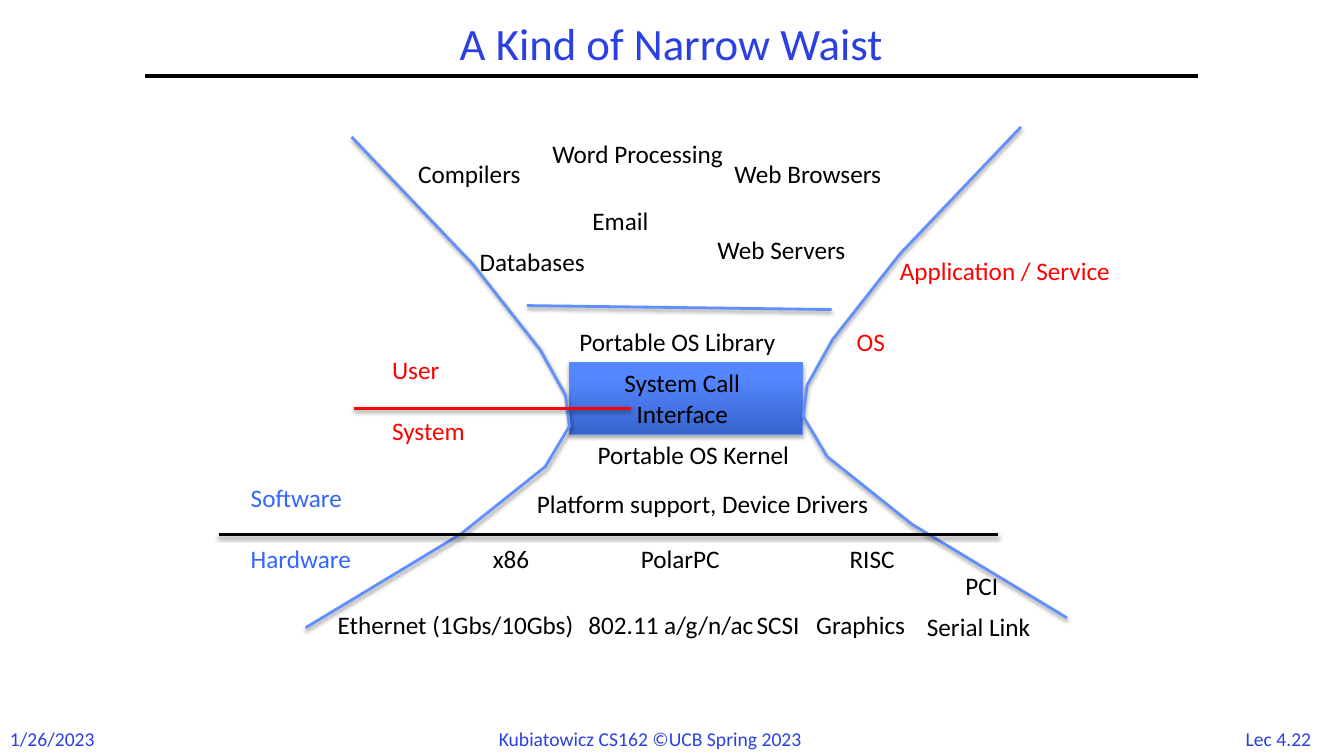
from dataclasses import dataclass
from copy import deepcopy
from typing import NamedTuple, Optional

import pptx
import pptx.dml.color
import pptx.enum.shapes
import pptx.enum.text
import pptx.oxml.ns
import pptx.shapes.base
import pptx.slide
import pptx.util
from lxml import etree

Cm = pptx.util.Cm
Pt = pptx.util.Pt
RGB = pptx.dml.color.RGBColor.from_string
qn = pptx.oxml.ns.qn
Align = pptx.enum.text.PP_ALIGN
Anchor = pptx.enum.text.MSO_ANCHOR


@dataclass(frozen=True)
class Theme:
    font: str = "Calibri"
    black: str = "000000"
    heading: str = "2A40E2"
    layer: str = "3366FF"
    boundary: str = "FF0000"
    wall: str = "618FFD"
    box_line: str = "5B8AFB"
    box_stops: tuple = ((0, "3764CE"), (0.8, "5487FF"), (1, "5688FF"))
    title_size: int = 32
    label_size: int = 18
    footer_size: int = 14


THEME = Theme()


class Label(NamedTuple):
    text: str
    left: float
    top: float
    width: float
    color: str = THEME.black
    size: int = THEME.label_size
    height: float = 1.02
    align: Align = Align.LEFT
    wrap: bool = False


class Line(NamedTuple):
    start: tuple
    end: tuple
    color: str
    width: float = 2
    shadow: Optional[int] = 38


TITLE = Label("A Kind of Narrow Waist", 3.66, 0.43, 26.52, THEME.heading,
              THEME.title_size, 1.47, Align.CENTER, True)
FOOTERS = [
    Label("1/26/2023", 0, 18.19, 2.72, THEME.heading, THEME.footer_size, 0.86),
    Label("Kubiatowicz CS162 ©UCB Spring 2023", 12.32, 18.19, 9.22,
          THEME.heading, THEME.footer_size, 0.86),
    Label("Lec 4.22", 30.99, 18.19, 2.46, THEME.heading, THEME.footer_size,
          0.86, Align.CENTER),
]
LABELS = [
    # Applications
    Label("Compilers", 10.29, 3.86, 3.4),
    Label("Word Processing", 13.67, 3.35, 5.38),
    Label("Web Browsers", 18.26, 3.86, 4.67),
    Label("Email", 14.68, 5.05, 2.11),
    Label("Databases", 11.84, 6.07, 3.58),
    Label("Web Servers", 17.83, 5.79, 4.22),
    # Operating system
    Label("Portable OS Library", 14.35, 8.1, 6.15),
    Label("System Call\nInterface", 15.14, 9.14, 4.11, height=1.8,
          align=Align.CENTER),
    Label("Portable OS Kernel", 14.81, 10.95, 6.05),
    Label("Platform support, Device Drivers", 13.28, 12.19, 9.91),
    # Hardware
    Label("x86", 12.17, 13.56, 1.55),
    Label("PolarPC", 15.9, 13.56, 3.23),
    Label("RISC", 21.16, 13.56, 1.93),
    Label("PCI", 24.08, 14.25, 1.57),
    Label("Ethernet (1Gbs/10Gbs)", 8.26, 15.24, 7.14),
    Label("802.11 a/g/n/ac", 14.58, 15.24, 4.88),
    Label("SCSI", 18.82, 15.24, 2.01),
    Label("Graphics", 20.32, 15.24, 3.07),
    Label("Serial Link", 23.11, 15.27, 3.94),
    # Names of the boundaries
    Label("Software", 6.07, 12.04, 3.05, THEME.layer),
    Label("Hardware", 6.07, 13.56, 3.3, THEME.layer),
    Label("User", 9.63, 8.81, 1.85, THEME.boundary),
    Label("System", 9.63, 10.34, 2.64, THEME.boundary),
    Label("Application / Service", 22.43, 6.3, 6.32, THEME.boundary),
    Label("OS", 21.34, 8.1, 1.45, THEME.boundary),
]
TITLE_RULE = Line((3.66, 1.91), (30.2, 1.91), THEME.black, 3, None)
BOUNDARIES = [
    Line((13.28, 7.7), (20.96, 7.8), THEME.wall),
    Line((5.51, 13.46), (25.15, 13.46), THEME.black),
    Line((8.92, 10.29), (15.9, 10.29), THEME.boundary),
]
LEFT_WALL = [(8.86, 3.45), (11.91, 6.65), (13.61, 8.81), (14.25, 9.96),
             (14.35, 10.74), (13.74, 11.76), (11.61, 13.46), (7.7, 15.82)]
RIGHT_WALL = [(34.59 - x, y - 0.25) for x, y in LEFT_WALL]


def set_shadow(shape: pptx.shapes.base.BaseShape, opacity: Optional[int],
               distance: float = 1.6) -> None:
    """Replace the inherited effects by a downward shadow, or by none."""
    properties = shape._element.spPr
    effects = properties.find(qn("a:effectLst"))
    if effects is None:
        effects = etree.SubElement(properties, qn("a:effectLst"))
    if opacity is not None:
        shadow = etree.SubElement(
            effects, qn("a:outerShdw"), blurRad=str(Pt(3.1)),
            dist=str(Pt(distance)), dir="5400000", rotWithShape="0")
        color = etree.SubElement(shadow, qn("a:srgbClr"), val=THEME.black)
        etree.SubElement(color, qn("a:alpha"), val=str(opacity * 1000))


def set_line(shape: pptx.shapes.base.BaseShape, color: str, width: float) -> None:
    shape.line.color.rgb = RGB(color)
    shape.line.width = Pt(width)


def add_label(slide: pptx.slide.Slide, label: Label) -> None:
    box = slide.shapes.add_textbox(Cm(label.left), Cm(label.top),
                                   Cm(label.width), Cm(label.height))
    frame = box.text_frame
    frame.text = label.text
    sizing = pptx.enum.text.MSO_AUTO_SIZE
    frame_format = {
        "word_wrap": label.wrap,
        "auto_size": sizing.NONE if label.wrap else sizing.SHAPE_TO_FIT_TEXT,
        "vertical_anchor": Anchor.MIDDLE if label.wrap else Anchor.TOP,
    }
    for name, value in frame_format.items():
        setattr(frame, name, value)
    font_format = {"name": THEME.font, "size": Pt(label.size)}
    for paragraph in frame.paragraphs:
        paragraph.alignment = label.align
        paragraph.line_spacing = 0.9 if label.wrap else 1.0
        for run in paragraph.runs:
            for name, value in font_format.items():
                setattr(run.font, name, value)
            run.font.color.rgb = RGB(label.color)


def add_line(slide: pptx.slide.Slide, line: Line) -> None:
    connector = slide.shapes.add_connector(
        pptx.enum.shapes.MSO_CONNECTOR.STRAIGHT,
        *(Cm(value) for value in line.start + line.end))
    set_line(connector, line.color, line.width)
    set_shadow(connector, line.shadow)


def add_wall(slide: pptx.slide.Slide, points: list) -> None:
    corners = [(Cm(x), Cm(y)) for x, y in points]
    builder = slide.shapes.build_freeform(*corners[0])
    builder.add_line_segments(corners[1:], close=False)
    wall = builder.convert_to_shape()
    wall.shadow.inherit = False
    wall.fill.background()
    set_line(wall, THEME.wall, 2)
    set_shadow(wall, 38)


def add_interface_box(slide: pptx.slide.Slide) -> None:
    box = slide.shapes.add_shape(pptx.enum.shapes.MSO_SHAPE.RECTANGLE,
                                 Cm(14.35), Cm(9.14), Cm(5.87), Cm(1.8))
    box.shadow.inherit = False
    box.fill.gradient()
    box.fill.gradient_angle = 90
    stop_list = box._element.spPr.find(".//" + qn("a:gsLst"))
    stop_list.append(deepcopy(stop_list[-1]))
    for stop, (position, color) in zip(box.fill.gradient_stops, THEME.box_stops):
        stop.position = position
        stop.color.rgb = RGB(color)
    set_line(box, THEME.box_line, 0.75)
    set_shadow(box, 35, 1.8)


def main() -> None:
    presentation = pptx.Presentation()
    presentation.slide_width = Cm(33.87)
    presentation.slide_height = Cm(19.05)
    slide = presentation.slides.add_slide(presentation.slide_layouts[6])

    # Title and footer
    add_line(slide, TITLE_RULE)
    for label in [TITLE, *FOOTERS]:
        add_label(slide, label)

    # Hourglass
    add_interface_box(slide)
    for label in LABELS:
        add_label(slide, label)
    for points in (LEFT_WALL, RIGHT_WALL):
        add_wall(slide, points)
    for line in BOUNDARIES:
        add_line(slide, line)

    presentation.save("out.pptx")


if __name__ == "__main__":
    main()
